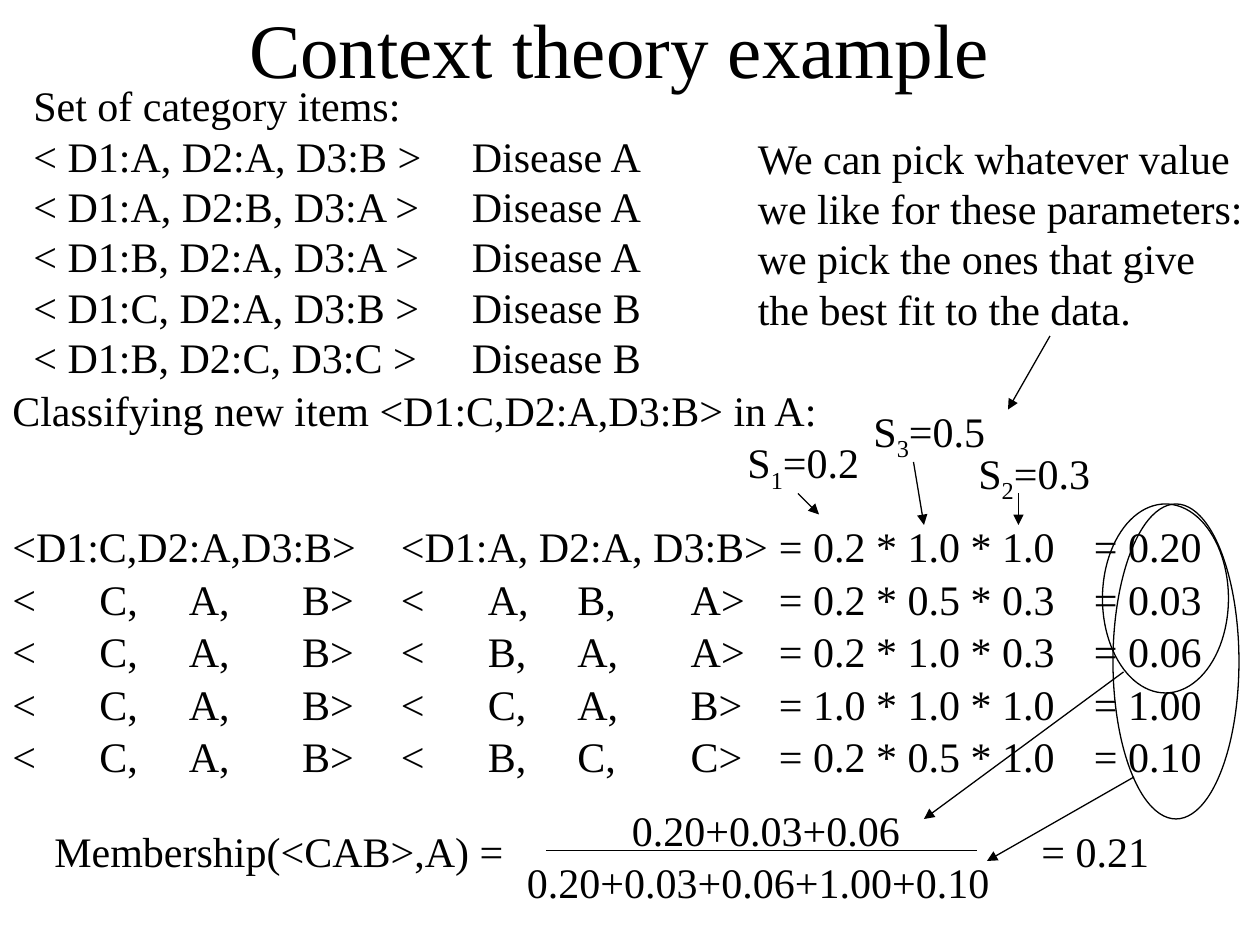
from typing import NamedTuple

from lxml.etree import SubElement as Sub
from pptx import Presentation
from pptx.dml.color import RGBColor as Rgb
from pptx.enum.shapes import MSO_CONNECTOR as Conn, MSO_SHAPE as Shape
from pptx.enum.text import MSO_ANCHOR as Anchor, PP_ALIGN as Align
from pptx.oxml.ns import qn
from pptx.util import Inches, Pt

FONT = "Times New Roman"
INK = {"text": "000000", "line": "000000"}
COLS, ROWS = 120, 90  # grid of the slide: twelve cells to the inch


class Box(NamedTuple):
    col: float
    row: float
    wide: float
    high: float = 6


class Line(NamedTuple):
    col: float
    row: float
    to_col: float
    to_row: float
    arrow: bool = True


class Scale(NamedTuple):
    sub: str
    value: str
    box: Box
    line: Line


class Match(NamedTuple):
    new: str
    known: str
    product: str
    total: str


deck = Presentation()
deck.slide_width, deck.slide_height = Inches(10), Inches(7.5)
slide = deck.slides.add_slide(deck.slide_layouts[6])


def across(col: float) -> int:
    return round(deck.slide_width * col / COLS)


def down(row: float) -> int:
    return round(deck.slide_height * row / ROWS)


def place(box: Box) -> tuple:
    return across(box.col), down(box.row), across(box.wide), down(box.high)


def write(text: str, box: Box, *, size: float = 24, align=Align.LEFT,
          anchor=Anchor.TOP, tabs: tuple = (), sub: str = "", rest: str = "") -> None:
    """Write lines of text; sub is a subscript and rest the text after it."""
    frame = slide.shapes.add_textbox(*place(box)).text_frame
    frame.word_wrap, frame.vertical_anchor = True, anchor
    for i, words in enumerate(text.split("\n")):
        para = frame.add_paragraph() if i else frame.paragraphs[0]
        para.alignment = align
        if tabs:
            stops = Sub(para._p.get_or_add_pPr(), qn("a:tabLst"))
            for stop in tabs:
                Sub(stops, qn("a:tab"), pos=str(Inches(stop)), algn="l")
        for part in filter(None, (words, sub, rest)):
            run = para.add_run()
            run.text = part
            run.font.name, run.font.size = FONT, Pt(size)
            run.font.color.rgb = Rgb.from_string(INK["text"])
            if part == sub:
                run._r.get_or_add_rPr().set("baseline", "-25000")


def stroke(item) -> None:
    item.line.color.rgb = Rgb.from_string(INK["line"])
    item.line.width = Pt(0.75)


def draw(line: Line) -> None:
    link = slide.shapes.add_connector(
        Conn.STRAIGHT, across(line.col), down(line.row),
        across(line.to_col), down(line.to_row))
    stroke(link)
    if line.arrow:
        Sub(link.line._get_or_add_ln(), qn("a:tailEnd"), type="triangle")
    Sub(link._element.spPr, qn("a:effectLst"))


def ring(box: Box) -> None:
    oval = slide.shapes.add_shape(Shape.OVAL, *place(box))
    oval.shadow.inherit = False
    oval.fill.background()
    stroke(oval)


# Title and category items
write("Context theory example", Box(8, 0, 102, 9), size=44,
      align=Align.CENTER, anchor=Anchor.MIDDLE)
ITEMS = [("A", "A", "B", "A"), ("A", "B", "A", "A"), ("B", "A", "A", "A"),
         ("C", "A", "B", "B"), ("B", "C", "C", "B")]
items = [f"< D1:{a}, D2:{b}, D3:{c} >\tDisease {ill}" for a, b, c, ill in ITEMS]
write("\n".join(["Set of category items:", *items]), Box(2, 7, 110, 30), tabs=(3.48,))
write("Classifying new item <D1:C,D2:A,D3:B> in A:", Box(0, 36, 84))

# Similarity of the new item to each known item
NEW = "<\tC,\tA,\tB>"
MATCHES = [
    Match("<D1:C,D2:A,D3:B>", "<D1:A, D2:A, D3:B>", "= 0.2 * 1.0 * 1.0", "= 0.20"),
    Match(NEW, "<\tA,\tB,\tA>", "= 0.2 * 0.5 * 0.3", "= 0.03"),
    Match(NEW, "<\tB,\tA,\tA>", "= 0.2 * 1.0 * 0.3", "= 0.06"),
    Match(NEW, "<\tC,\tA,\tB>", "= 1.0 * 1.0 * 1.0", "= 1.00"),
    Match(NEW, "<\tB,\tC,\tC>", "= 0.2 * 0.5 * 1.0", "= 0.10"),
]
FIELDS = [(0, 36), (37, 38), (73, 36), (103, 13)]
for i, match in enumerate(MATCHES):
    for text, (col, wide) in zip(match, FIELDS):
        write(text, Box(col, 49 + 5 * i, wide),
              tabs=(0.69, 1.4, 2.3) if "\t" in text else ())

# Parameters, each pointing at its factor
SCALES = [
    Scale("1", "=0.2", Box(70, 41, 15, 6.7), Line(76, 47, 78, 49)),
    Scale("3", "=0.5", Box(82, 38, 15, 6.7), Line(87, 44, 88, 50)),
    Scale("2", "=0.3", Box(92, 42, 19, 6.7), Line(97, 47, 97, 50)),
]
for scale in SCALES:
    write("S", scale.box, sub=scale.sub, rest=scale.value)
    draw(scale.line)

# Membership as a fraction
write("Membership(<CAB>,A) =", Box(4, 78, 50))
write("0.20+0.03+0.06", Box(59, 76, 30))
write("0.20+0.03+0.06+1.00+0.10", Box(49, 81, 50))
draw(Line(52, 81, 93, 81, arrow=False))
write("= 0.21", Box(98, 78, 16))

# Rings around the summed values, pointing at the fraction
for oval, line in [(Box(105, 48, 12, 18), Line(107, 64, 88, 78)),
                   (Box(106, 48, 12, 30), Line(108, 74, 94, 82))]:
    ring(oval)
    draw(line)

# Remark on the parameters
write("We can pick whatever value we like for these parameters: "
      "we pick the ones that give the best fit to the data.", Box(71, 12, 49, 20.4))
draw(Line(100, 32, 96, 39))

deck.save("out.pptx")
